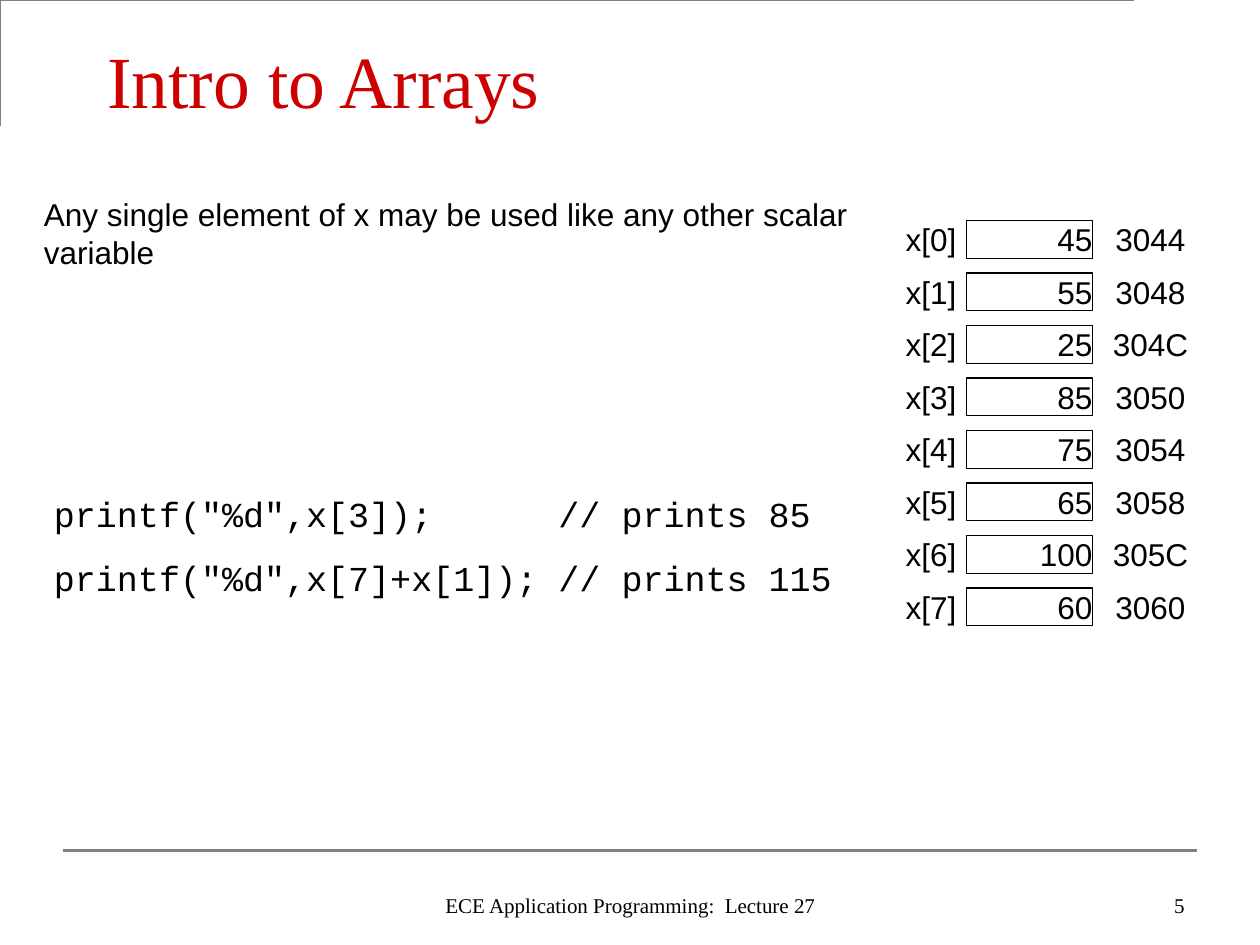
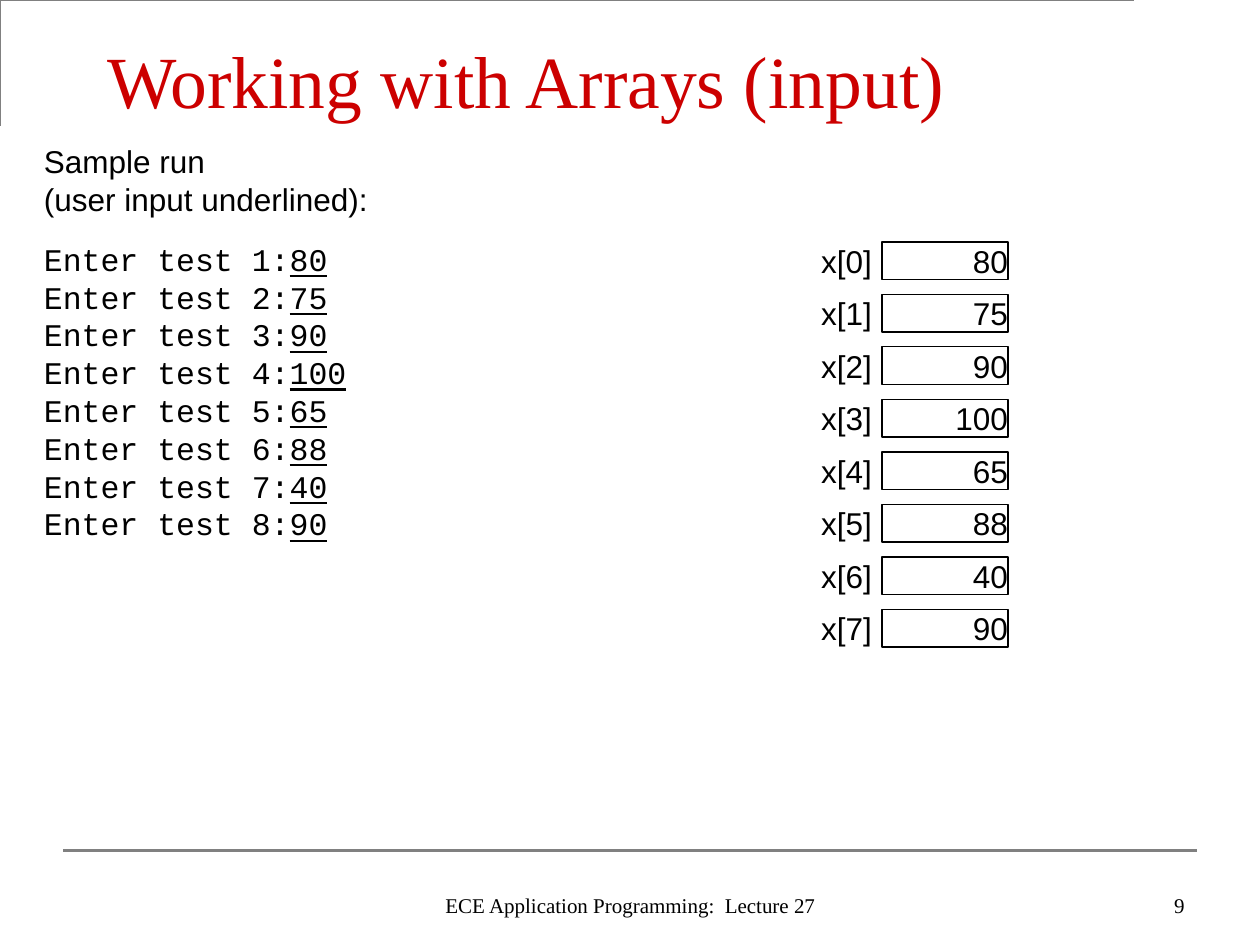
from lxml.etree import SubElement
from pptx import Presentation
from pptx.dml.color import RGBColor
from pptx.enum.shapes import MSO_CONNECTOR, MSO_SHAPE
from pptx.enum.text import MSO_ANCHOR, MSO_AUTO_SIZE, PP_ALIGN
from pptx.oxml.ns import qn
from pptx.util import Inches, Pt

HUES = {name: RGBColor.from_string(code) for name, code in {
    "title": "CC0000", "text": "000000", "rule": "808080"}.items()}
SANS, MONO, SERIF = "Arial", "Courier New", "Times New Roman"
LEFT, MID, RIGHT = PP_ALIGN.LEFT, PP_ALIGN.CENTER, PP_ALIGN.RIGHT
STEP = 5 / 12
FOOTER = "ECE Application Programming:  Lecture 27"


def frame(shape, pad=(0.1, 0.05), anchor=MSO_ANCHOR.TOP):
    """Set wrapping, side and top insets and anchor; return the text frame."""
    text = shape.text_frame
    text.word_wrap = True
    text.auto_size = MSO_AUTO_SIZE.NONE
    text.vertical_anchor = anchor
    text.margin_left = text.margin_right = Inches(pad[0])
    text.margin_top = Inches(pad[1])
    text.margin_bottom = Inches(min(pad[1], 0.05))
    return text


def write(para, text, font=SANS, size=18, align=LEFT, hue="text", under=False):
    """Add one run; sans and mono lines are 1.2 times the type size."""
    para.alignment = align
    if font != SERIF:
        para.line_spacing = Pt(size * 1.2)
    run = para.add_run()
    run.text = text
    run.font.name = font
    run.font.size = Pt(size)
    run.font.color.rgb = HUES[hue]
    run.font.underline = under


deck = Presentation()
deck.slide_width, deck.slide_height = Inches(10), Inches(7.5)
pages = [
    {"title": "Intro to Arrays", "number": "5", "left": 6.67, "top": 1.75,
     "values": [45, 55, 25, 85, 75, 65, 100, 60],
     "places": ["3044", "3048", "304C", "3050",
                "3054", "3058", "305C", "3060"]},
    {"title": "Working with Arrays (input)", "number": "9",
     "left": 6, "top": 1.92,
     "values": [80, 75, 90, 100, 65, 88, 40, 90], "places": []},
]

# Title, footer and array cells of both slides
for page in pages:
    slide = deck.slides.add_slide(deck.slide_layouts[5])
    page["shapes"] = shapes = slide.shapes
    title = shapes.title
    title.left, title.top = Inches(0.75), Inches(0.17)
    title.width, title.height = Inches(8.5), Inches(0.58)
    write(frame(title, (0.1, 0.11)).paragraphs[0], page["title"],
          SERIF, 42, hue="title")

    for left, width, text, align in [(7.17, 2.33, page["number"], RIGHT),
                                     (3.42, 3.17, FOOTER, MID)]:
        box = shapes.add_textbox(Inches(left), Inches(6.83),
                                 Inches(width), Inches(0.5))
        write(frame(box, anchor=MSO_ANCHOR.BOTTOM).paragraphs[0], text,
              SERIF, 12, align)

    for i, value in enumerate(page["values"]):
        top = Inches(page["top"] + i * STEP)
        cell = shapes.add_shape(MSO_SHAPE.RECTANGLE, Inches(page["left"] + 1),
                                top, Inches(1), Inches(0.3))
        cell.shadow.inherit = False
        cell.fill.background()
        cell.line.color.rgb = HUES["text"]
        cell.line.width = Pt(0.75)
        write(frame(cell, (0, 0)).paragraphs[0], str(value), align=RIGHT)

        notes = [(0, f"x[{i}]", RIGHT)]
        if page["places"]:
            notes.append((2, page["places"][i], MID))
        for shift, text, align in notes:
            box = shapes.add_textbox(Inches(page["left"] + shift), top,
                                     Inches(0.92), Inches(0.3))
            write(frame(box, (0, 0)).paragraphs[0], text, align=align)

# Grey rules, moved to the master
shapes = pages[0]["shapes"]
path = shapes.build_freeform(0.42, 0.92, scale=Inches(1))
path.add_line_segments([(0.42, 0.25), (9.42, 0.25)], close=False)
corner = path.convert_to_shape()
corner.shadow.inherit = False
corner.fill.background()
base = shapes.add_connector(MSO_CONNECTOR.STRAIGHT, Inches(0.5), Inches(6.75),
                            Inches(9.5), Inches(6.75))
for rule in (corner, base):
    rule.line.color.rgb = HUES["rule"]
    rule.line.width = Pt(1.5)
SubElement(base.element.spPr, qn("a:effectLst"))
tree = deck.slide_master.element.cSld.spTree
for rule in (corner, base):
    tree.append(rule.element)

# Intro to Arrays: statement and code
box = shapes.add_textbox(Inches(0.25), Inches(1.5), Inches(6.58), Inches(0.7))
write(frame(box).paragraphs[0],
      "Any single element of x may be used like any other scalar variable")

box = shapes.add_textbox(Inches(0.33), Inches(3.83), Inches(6.5), Inches(1.45))
code = frame(box, (0.1, 0.08))
write(code.paragraphs[0], 'printf("%d",x[3]);      // prints 85', MONO, 20)
para = code.add_paragraph()
para.space_before = Pt(12.5)
write(para, 'printf("%d",x[7]+x[1]); // prints 115', MONO, 20)

# Working with Arrays: sample run
box = pages[1]["shapes"].add_textbox(Inches(0.25), Inches(1.08),
                                     Inches(4), Inches(4.02))
sample = frame(box)
para = sample.paragraphs[0]
write(para, "Sample run")
para.add_line_break()
write(para, "(user input underlined):")
para = sample.add_paragraph()
para.space_before = Pt(12.5)
for i, value in enumerate(pages[1]["values"], 1):
    if i > 1:
        para.add_line_break()
    write(para, f"Enter test {i}:", MONO)
    write(para, str(value), MONO, under=True)

deck.save("out.pptx")
